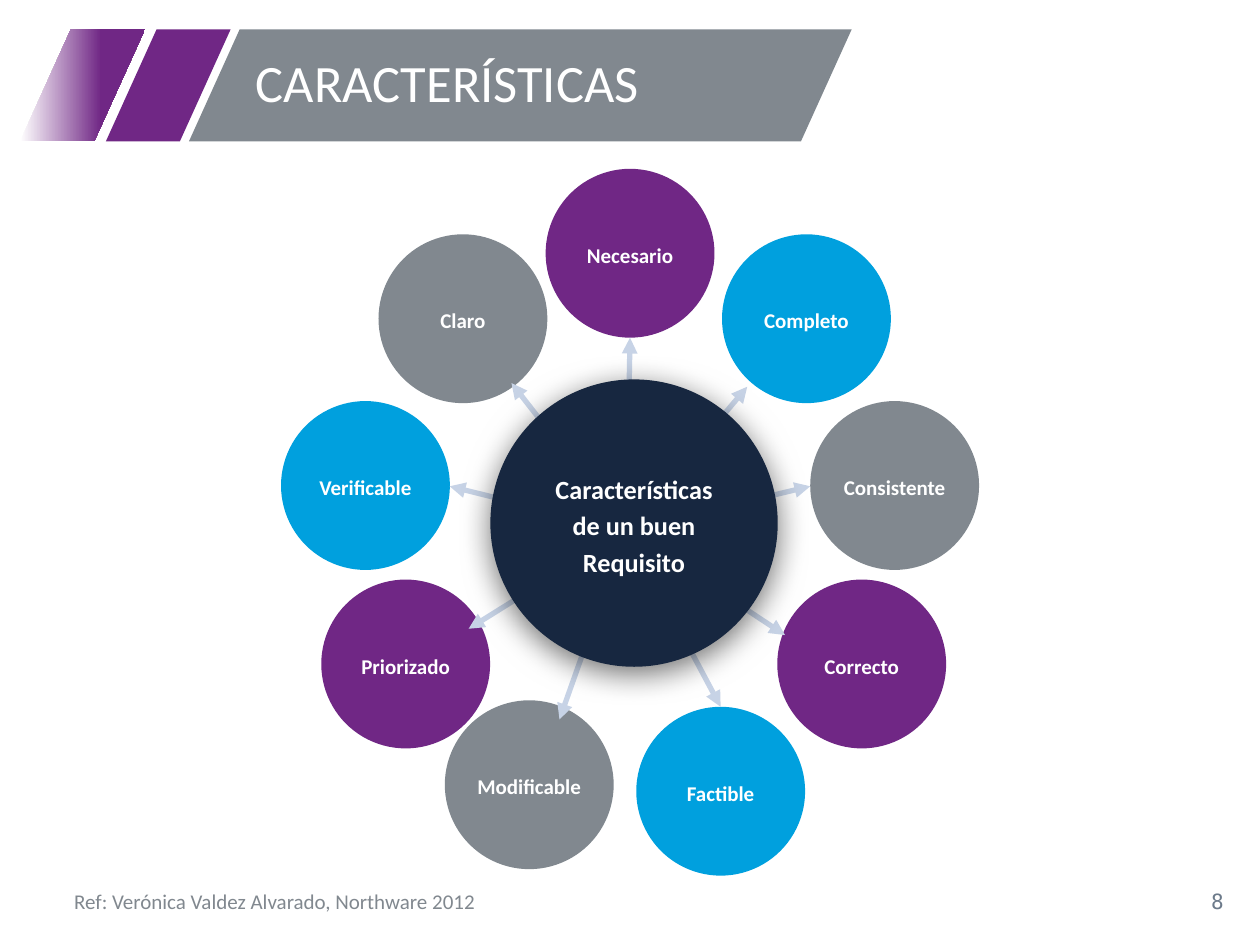
from dataclasses import dataclass

from lxml import etree
from pptx import Presentation
from pptx.dml.color import RGBColor
from pptx.enum.shapes import MSO_CONNECTOR, MSO_SHAPE
from pptx.enum.text import MSO_ANCHOR, PP_ALIGN
from pptx.oxml.ns import qn
from pptx.util import Pt

PARALLELOGRAM = MSO_SHAPE.PARALLELOGRAM
OVAL = MSO_SHAPE.OVAL
STRAIGHT = MSO_CONNECTOR.STRAIGHT
TOP, MIDDLE = MSO_ANCHOR.TOP, MSO_ANCHOR.MIDDLE
LEFT, CENTER, RIGHT = PP_ALIGN.LEFT, PP_ALIGN.CENTER, PP_ALIGN.RIGHT
TITLE_ONLY = 5


@dataclass(frozen=True)
class Theme:
    font: str = "Calibri"
    number_font: str = "DejaVu Sans Mono"
    white: str = "FFFFFF"
    black: str = "000000"
    purple: str = "702785"
    gray: str = "81888F"
    blue: str = "00A0DE"
    navy: str = "172740"
    arrow: str = "C7D3E6"
    number: str = "6C7A8A"
    title_size: float = 30
    hub_size: float = 15
    text_size: float = 12


THEME = Theme()
BANNER_TOP, BANNER_HEIGHT = 16.8, 64
CIRCLE = 96.5
HUB = (280.2, 216.8, 164.2, 164.2)
ARROW_START = (358, 303)

TRAITS = [
    ("Necesario", THEME.purple, (311.8, 96.5), (360, 193)),
    ("Modificable", THEME.gray, (254.2, 400.2), (319.7, 411.1)),
    ("Verificable", THEME.blue, (160.6, 229.2), (257, 277.9)),
    ("Correcto", THEME.purple, (444.2, 331.2), (448.6, 362.9)),
    ("Priorizado", THEME.purple, (183.6, 331.2), (267.8, 359.3)),
    ("Consistente", THEME.gray, (463, 229.2), (463, 277.9)),
    ("Completo", THEME.blue, (412.6, 133.9), (427, 221)),
    ("Claro", THEME.gray, (216.3, 133.9), (292.3, 218.9)),
    ("Factible", THEME.blue, (363.6, 403.9), (411.8, 403.9)),
]


def color(value):
    return RGBColor.from_string(value)


def write(shape, text, size, fill, align=LEFT, anchor=MIDDLE, font=THEME.font,
          bold=False, spacing=1.0, insets=(7.2, 3.6)):
    frame = shape.text_frame
    frame.text = text
    frame.word_wrap = True
    frame.vertical_anchor = anchor
    frame.margin_left = frame.margin_right = Pt(insets[0])
    frame.margin_top = frame.margin_bottom = Pt(insets[1])
    para = frame.paragraphs[0]
    para.alignment = align
    para.line_spacing = spacing
    span = para.runs[0].font
    span.name, span.size, span.bold = font, Pt(size), bold
    span.color.rgb = color(fill)


def add_filled(page, kind, area, fill):
    shape = page.shapes.add_shape(kind, *map(Pt, area))
    shape.shadow.inherit = False
    shape.fill.solid()
    shape.fill.fore_color.rgb = color(fill)
    shape.line.fill.background()
    return shape


def add_stripe(page, left, width, fill):
    area = (left, BANNER_TOP, width, BANNER_HEIGHT)
    stripe = add_filled(page, PARALLELOGRAM, area, fill)
    stripe.adjustments[0] = 0.453
    return stripe


def add_banner(page):
    add_stripe(page, 60.5, 71.3, THEME.purple)
    faded = add_stripe(page, 11.5, 71.3, THEME.purple)
    faded.fill.gradient()
    faded.fill.gradient_angle = 0
    stops = zip(faded.fill.gradient_stops, (0, 0.65), (THEME.white, THEME.purple))
    for stop, position, fill in stops:
        stop.position = position
        stop.color.rgb = color(fill)
    add_stripe(page, 108, 378.7, THEME.gray)


def place_title(page, text):
    title = page.shapes.title
    title.element.getparent().append(title.element)
    title.left, title.top = Pt(139), Pt(BANNER_TOP)
    title.width, title.height = Pt(337.7), Pt(BANNER_HEIGHT)
    write(title, text, THEME.title_size, THEME.white, spacing=0.9)


def add_circle(page, text, area, fill, size):
    circle = add_filled(page, OVAL, area, fill)
    write(circle, text, size, THEME.white, CENTER, bold=True, spacing=1.15,
          insets=(0, 0))
    return circle


def add_arrow(page, start, end):
    arrow = page.shapes.add_connector(STRAIGHT, *map(Pt, start + end))
    arrow.line.width = Pt(3)
    arrow.line.color.rgb = color(THEME.arrow)
    properties = arrow.element.spPr
    etree.SubElement(properties.get_or_add_ln(), qn("a:tailEnd"), type="triangle")
    etree.SubElement(properties, qn("a:effectLst"))


def add_shadow(shape):
    effects = shape.element.spPr.find(qn("a:effectLst"))
    shadow = etree.SubElement(effects, qn("a:outerShdw"), blurRad=str(Pt(18)),
                              dist=str(Pt(4)), dir="5400000", rotWithShape="0")
    tint = etree.SubElement(shadow, qn("a:srgbClr"), val=THEME.black)
    etree.SubElement(tint, qn("a:alpha"), val="55000")


def add_text(page, text, area, fill, **style):
    box = page.shapes.add_textbox(*map(Pt, area))
    write(box, text, THEME.text_size, fill, **style)


def main():
    deck = Presentation()
    deck.slide_width, deck.slide_height = Pt(720), Pt(540)
    page = deck.slides.add_slide(deck.slide_layouts[TITLE_ONLY])

    add_banner(page)
    add_text(page, "8", (544.3, 500.4, 162, 28.8), THEME.number,
             align=RIGHT, font=THEME.number_font)
    place_title(page, "CARACTERÍSTICAS")

    for name, fill, corner, _ in TRAITS:
        add_circle(page, name, corner + (CIRCLE, CIRCLE), fill, THEME.text_size)
    for *_, tip in TRAITS:
        add_arrow(page, ARROW_START, tip)
    hub = add_circle(page, "Características de un buen Requisito", HUB,
                     THEME.navy, THEME.hub_size)
    hub.text_frame.margin_left = hub.text_frame.margin_right = Pt(8)
    add_shadow(hub)

    add_text(page, "Ref: Verónica Valdez Alvarado, Northware 2012",
             (35.3, 500.4, 261.4, 25.2), THEME.gray, anchor=TOP, insets=(7.2, 7.2))
    deck.save("out.pptx")


if __name__ == "__main__":
    main()
